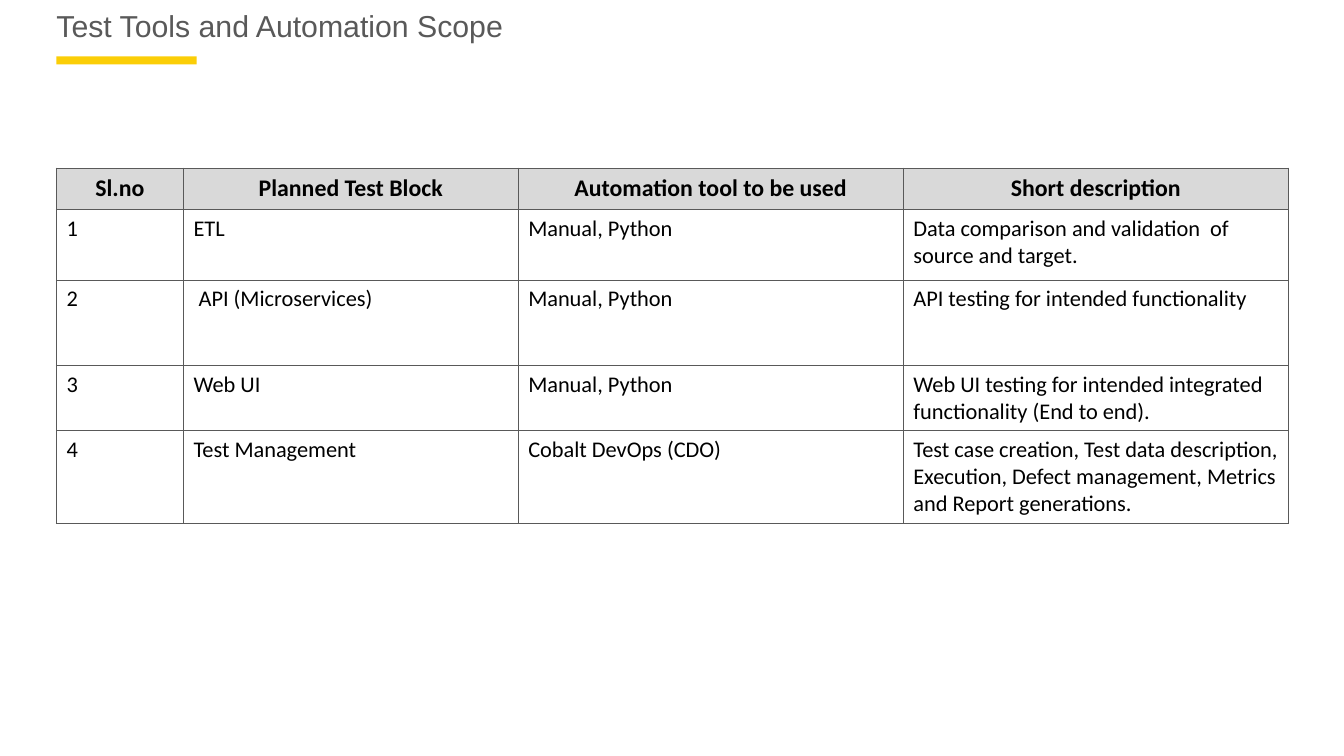
"""Build the test tools and automation scope slide."""
from dataclasses import astuple, dataclass

from lxml.etree import SubElement
from pptx import Presentation
from pptx.dml.color import RGBColor
from pptx.enum.shapes import MSO_SHAPE
from pptx.enum.text import MSO_ANCHOR, PP_ALIGN
from pptx.oxml.ns import qn
from pptx.slide import Slide
from pptx.table import _Cell
from pptx.util import Inches, Pt

LEFT, WIDTH = 0.56, 12.22
GREY = "595959"
COLUMN_WIDTHS = (1.26, 3.32, 3.82, 3.82)


@dataclass
class TestRow:
    """One row of the scope table."""
    number: str
    block: str
    tool: str
    description: str


HEADER = TestRow("Sl.no", "Planned Test Block", "Automation tool to be used", "Short description")
ROWS = [
    (0.41, HEADER),
    (0.7, TestRow("1", "ETL", "Manual, Python",
                  "Data comparison and validation  of source and target.")),
    (0.85, TestRow("2", " API (Microservices)", "Manual, Python",
                   "API testing for intended functionality")),
    (0.64, TestRow("3", "Web UI", "Manual, Python",
                   "Web UI testing for intended integrated functionality (End to end).")),
    (0.92, TestRow("4", "Test Management", "Cobalt DevOps (CDO)",
                   "Test case creation, Test data description, Execution, "
                   "Defect management, Metrics and Report generations.")),
]


def rgb(value: str) -> RGBColor:
    """Turn a hex string into a colour."""
    return RGBColor.from_string(value)


def add_title(s: Slide, text: str) -> None:
    """Place and format the title with its accent bar."""
    bar = s.shapes.add_shape(MSO_SHAPE.RECTANGLE, Inches(LEFT), Inches(0.56),
                             Inches(1.39), Inches(0.08))
    bar.shadow.inherit = False
    bar.fill.solid()
    bar.fill.fore_color.rgb = rgb("FBCE07")
    bar.line.fill.background()
    sp = s.shapes.title
    sp.left, sp.top = Inches(LEFT), Inches(0.07)
    sp.width, sp.height = Inches(WIDTH), Inches(0.54)
    tf = sp.text_frame
    tf.text = text
    tf.margin_left = tf.margin_right = tf.margin_top = tf.margin_bottom = 0
    tf.vertical_anchor = MSO_ANCHOR.TOP
    p = tf.paragraphs[0]
    p.alignment = PP_ALIGN.LEFT
    p.font.name, p.font.size = "Arial", Pt(21.6)
    p.font.color.rgb = rgb(GREY)


def add_borders(cell: _Cell) -> None:
    """Draw a thin line on all four sides of a cell."""
    props = cell._tc.get_or_add_tcPr()
    for i, side in enumerate(("a:lnL", "a:lnR", "a:lnT", "a:lnB")):
        line = SubElement(props, qn(side), w=str(Pt(1)))
        fill = SubElement(line, qn("a:solidFill"))
        SubElement(fill, qn("a:srgbClr"), val=GREY)
        props.insert(i, line)


def fill_cell(cell: _Cell, text: str, header: bool) -> None:
    """Write and format one table cell."""
    cell.text = text
    cell.fill.solid()
    cell.fill.fore_color.rgb = rgb("D9D9D9" if header else "FFFFFF")
    p = cell.text_frame.paragraphs[0]
    p.alignment = PP_ALIGN.CENTER if header else PP_ALIGN.LEFT
    p.font.name, p.font.size = "Calibri", Pt(17 if header else 16)
    p.font.bold = header
    p.font.color.rgb = rgb("000000")
    add_borders(cell)


def add_scope_table(s: Slide) -> None:
    """Add the table of test blocks and tools."""
    height = sum(row_height for row_height, _ in ROWS)
    table = s.shapes.add_table(len(ROWS), len(COLUMN_WIDTHS), Inches(LEFT), Inches(1.67),
                               Inches(WIDTH), Inches(height)).table
    for column, width in zip(table.columns, COLUMN_WIDTHS):
        column.width = Inches(width)
    for row, (row_height, entry) in zip(table.rows, ROWS):
        row.height = Inches(row_height)
        for cell, text in zip(row.cells, astuple(entry)):
            fill_cell(cell, text, entry is HEADER)


def main() -> None:
    """Build and save the presentation."""
    prs = Presentation()
    prs.slide_width, prs.slide_height = Inches(13.33), Inches(7.5)
    s = prs.slides.add_slide(prs.slide_layouts[5])
    add_title(s, "Test Tools and Automation Scope")
    add_scope_table(s)
    prs.save("out.pptx")


if __name__ == "__main__":
    main()
